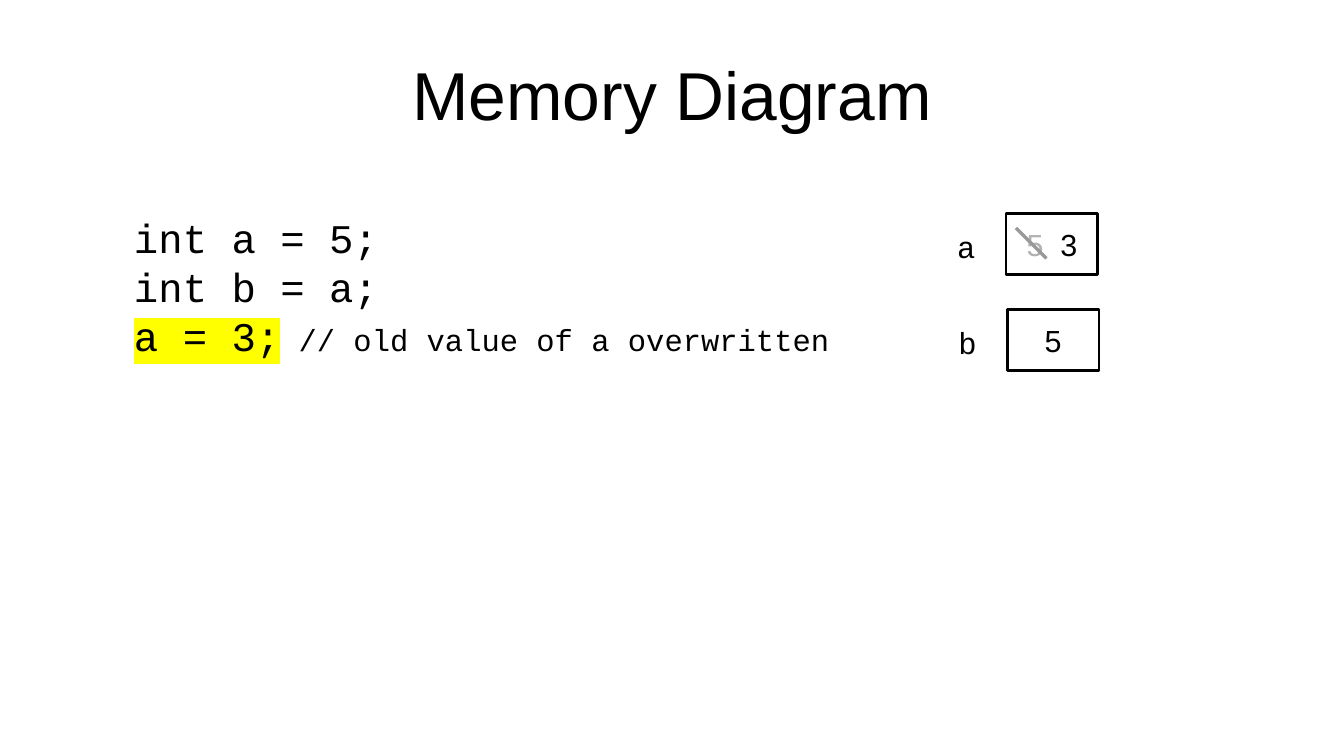
from pptx import Presentation
from pptx.dml.color import RGBColor
from pptx.enum.shapes import MSO_CONNECTOR, MSO_SHAPE
from pptx.enum.text import MSO_ANCHOR, PP_ALIGN
from pptx.oxml import parse_xml
from pptx.oxml.ns import nsdecls, qn
from pptx.util import Inches, Pt

CENTER = PP_ALIGN.CENTER
MIDDLE = MSO_ANCHOR.MIDDLE
RECTANGLE = MSO_SHAPE.RECTANGLE
STRAIGHT = MSO_CONNECTOR.STRAIGHT
SANS, MONO = "Arial", "Courier New"
BLACK, WHITE, YELLOW = "000000", "FFFFFF", "FFFF00"
OLD_VALUE, STRIKE = "B2B2B2", "999999"


def rgb(color):
    return RGBColor.from_string(color)


def style(run, size, face, color=BLACK):
    run.font.size = Pt(size)
    run.font.name = face
    run.font.color.rgb = rgb(color)


def add_run(paragraph, text, size, face, color=BLACK):
    run = paragraph.add_run()
    run.text = text
    style(run, size, face, color)
    return run


def highlight(run, color):
    mark = parse_xml(f'<a:highlight {nsdecls("a")}><a:srgbClr val="{color}"/></a:highlight>')
    run.font._element.find(qn("a:solidFill")).addnext(mark)


def set_margins(frame, horizontal, vertical):
    frame.margin_left = frame.margin_right = Inches(horizontal)
    frame.margin_top = frame.margin_bottom = Inches(vertical)


def add_title(slide, left, top, width, height):
    title = slide.shapes.title
    title.left, title.top = Inches(left), Inches(top)
    title.width, title.height = Inches(width), Inches(height)
    frame = title.text_frame
    frame.text = "Memory Diagram"
    frame.vertical_anchor = MIDDLE
    set_margins(frame, 0, 0)
    heading = frame.paragraphs[0]
    heading.alignment = CENTER
    style(heading.runs[0], 40, SANS)


def add_text_area(slide, left, top, width, height):
    area = slide.shapes.add_textbox(Inches(left), Inches(top), Inches(width), Inches(height))
    frame = area.text_frame
    frame.word_wrap = True
    set_margins(frame, 0.1, 0.05)
    return frame


def add_code(slide, left, top, width, height):
    frame = add_text_area(slide, left, top, width, height)
    frame.text = "int a = 5;\nint b = a;\na = 3;"
    for statement in frame.paragraphs:
        style(statement.runs[0], 24, MONO)
    assignment = frame.paragraphs[-1]
    highlight(assignment.runs[0], YELLOW)
    add_run(assignment, " // old value of a overwritten", 18, MONO)


def add_variable(slide, left, top, name, value, old_value=None):
    """Draw a name and its memory cell, with any overwritten value struck out."""
    label = add_text_area(slide, left, top + 0.07, 0.35, 0.38)
    label.text = name
    style(label.paragraphs[0].runs[0], 18, MONO)

    cell_left = left + 0.5
    cell = slide.shapes.add_shape(
        RECTANGLE, Inches(cell_left), Inches(top), Inches(0.75), Inches(0.5))
    cell.shadow.inherit = False
    cell.fill.solid()
    cell.fill.fore_color.rgb = rgb(WHITE)
    cell.line.color.rgb = rgb(BLACK)
    cell.line.width = Pt(1.5)
    frame = cell.text_frame
    frame.word_wrap = False
    frame.vertical_anchor = MIDDLE
    set_margins(frame, 0.11, 0.06)
    content = frame.paragraphs[0]
    content.alignment = CENTER
    if old_value:
        add_run(content, old_value, 18, SANS, OLD_VALUE)
        gap = add_run(content, " ", 18, SANS)
        gap.font._element.set("spc", "500")
        add_strike(slide, cell_left + 0.08, top + 0.12, 0.25)
    add_run(content, value, 18, SANS)


def add_strike(slide, left, top, size):
    strike = slide.shapes.add_connector(
        STRAIGHT, Inches(left), Inches(top), Inches(left + size), Inches(top + size))
    strike.line.color.rgb = rgb(STRIKE)
    strike.line.width = Pt(0)
    strike._element.spPr.append(parse_xml(f'<a:effectLst {nsdecls("a")}/>'))


def main():
    deck = Presentation()
    deck.slide_width, deck.slide_height = Inches(11.02), Inches(6.2)
    slide = deck.slides.add_slide(deck.slide_layouts[5])
    add_title(slide, 0.55, 0.25, 9.92, 1.04)
    add_code(slide, 1, 1.7, 5.95, 1.51)
    add_variable(slide, 7.75, 1.75, "a", "3", old_value="5")
    add_variable(slide, 7.76, 2.54, "b", "5")
    deck.save("out.pptx")


if __name__ == "__main__":
    main()
